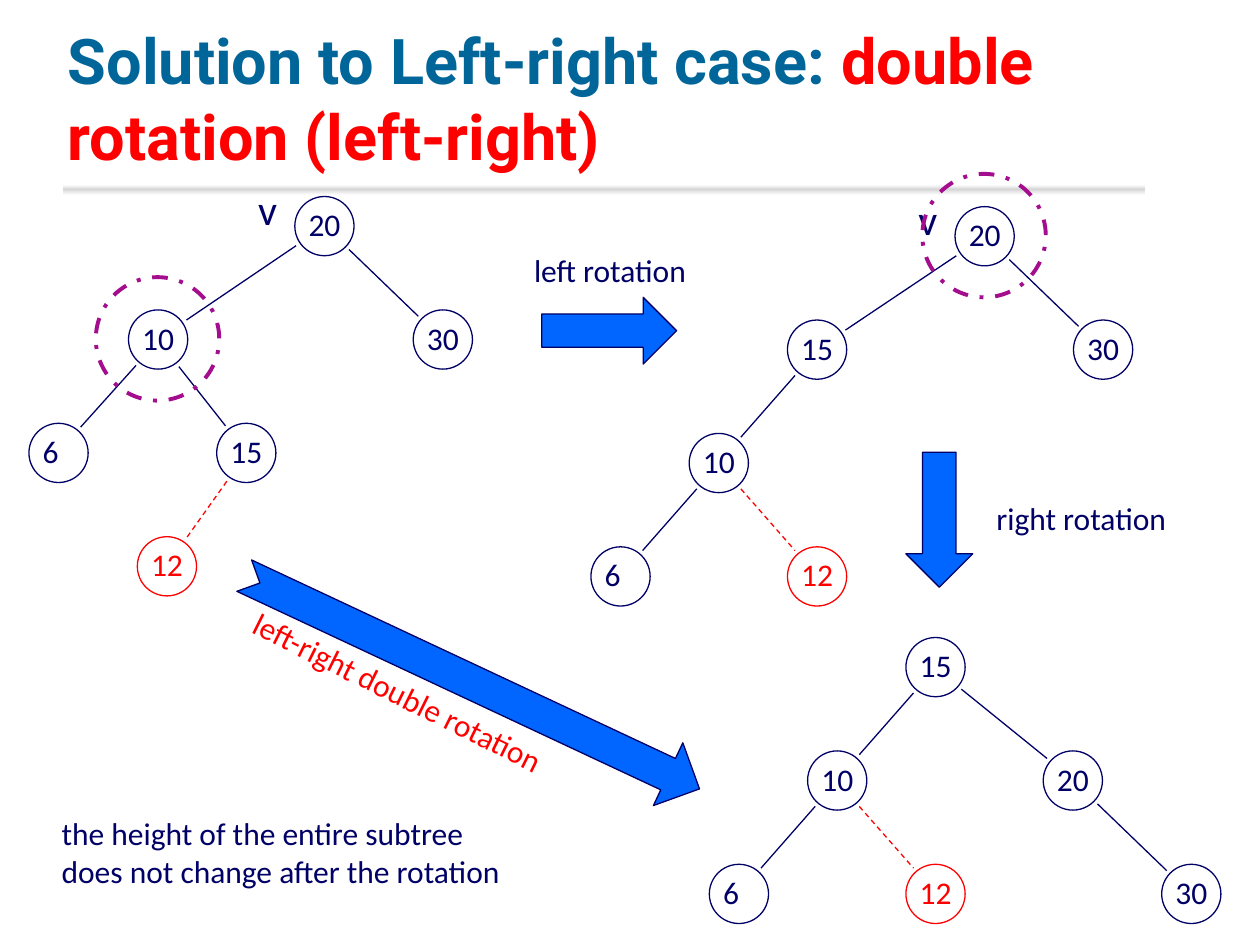
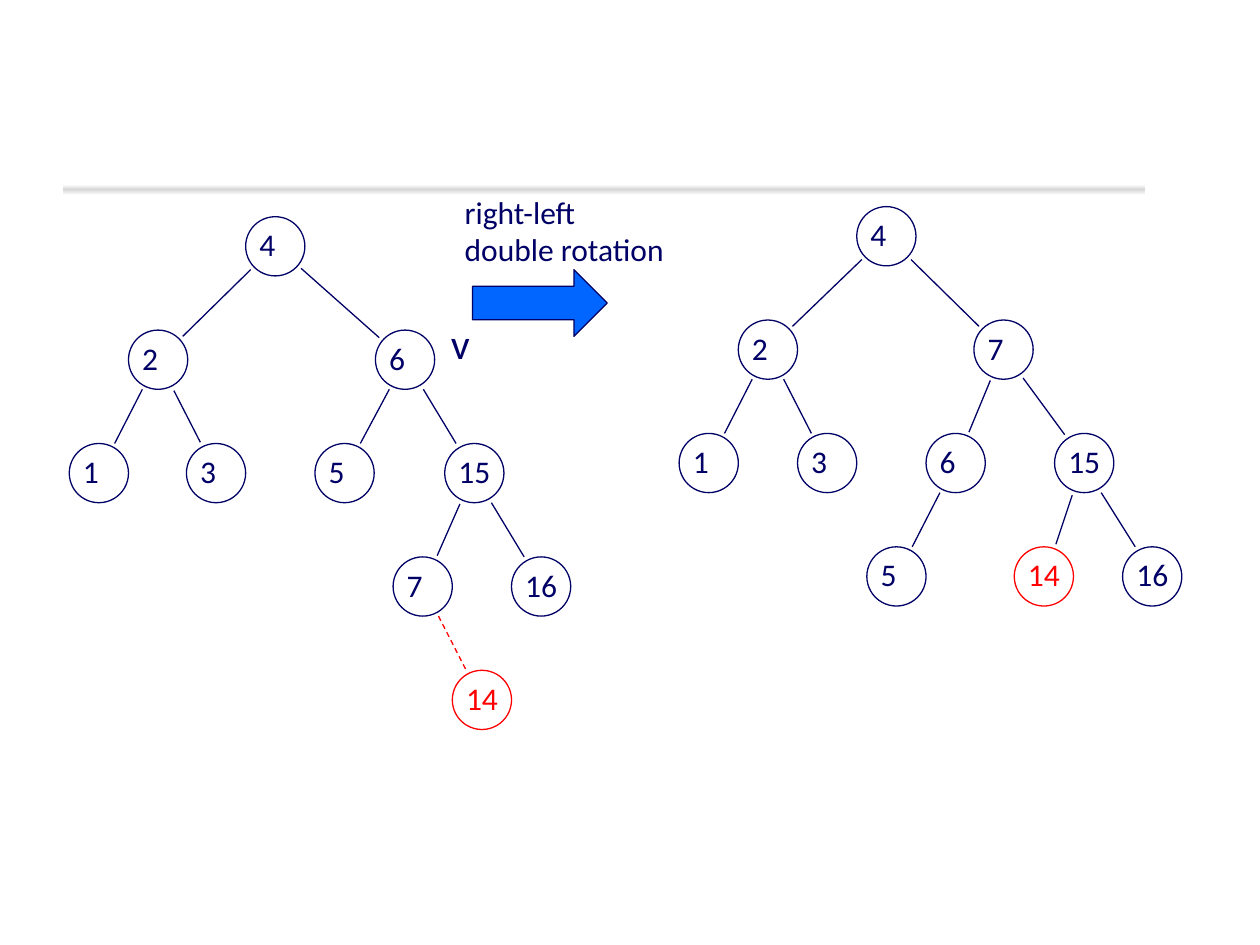
from math import hypot

from lxml import etree
from pptx import Presentation
from pptx.dml.color import RGBColor
from pptx.enum.dml import MSO_LINE_DASH_STYLE as DASH
from pptx.enum.shapes import MSO_CONNECTOR, MSO_SHAPE as SHAPE
from pptx.enum.text import MSO_ANCHOR, MSO_AUTO_SIZE as AUTO_SIZE
from pptx.oxml import parse_xml
from pptx.oxml.ns import nsdecls, qn
from pptx.util import Pt

PX = 9144  # 100 px to the inch
COLORS = {
    "title": "006699", "navy": "000066", "red": "FF0000",
    "arrow": "0066FF", "focus": "A30D8E", "white": "FFFFFF", "band": "D6D6D6",
}
RGB = {name: RGBColor.from_string(value) for name, value in COLORS.items()}
NODE, RING, LEVEL_DROP = 47, 98, 90
EDGE_TRIM = 27  # from a node's centre to the end of its edge
LONG, SHORT = 107, 53  # sides of a block arrow


def add_outlined(shapes, kind, box, color, width=0.75, dash=None, fill=None, rotation=0):
    """Add a preset shape, or a connector from (x1, y1) to (x2, y2) if kind is None."""
    box = [round(value) * PX for value in box]
    if kind is None:
        shape = shapes.add_connector(MSO_CONNECTOR.STRAIGHT, *box)
        etree.SubElement(shape._element.spPr, qn("a:effectLst"))
    else:
        shape = shapes.add_shape(kind, *box)
        shape.shadow.inherit = False
        shape.rotation = rotation
        if fill:
            shape.fill.solid()
            shape.fill.fore_color.rgb = RGB[fill]
        else:
            shape.fill.background()
    shape.line.color.rgb = RGB[color]
    for name, value in {"width": Pt(width), "dash_style": dash}.items():
        setattr(shape.line, name, value)


def add_text(shapes, box, paragraphs, size=18, font="Calibri", bold=False, rotation=0, **frame_format):
    """Add a text box; each paragraph is a list of (text, colour) runs."""
    shape = shapes.add_textbox(*[value * PX for value in box])
    shape.rotation = rotation
    frame = shape.text_frame
    frame_format = {"word_wrap": False, "auto_size": AUTO_SIZE.SHAPE_TO_FIT_TEXT} | frame_format
    for name, value in frame_format.items():
        setattr(frame, name, value)
    for index, runs in enumerate(paragraphs):
        paragraph = frame.paragraphs[0] if index == 0 else frame.add_paragraph()
        for text, color in runs:
            run = paragraph.add_run()
            run.text = text
            for name, value in {"size": Pt(size), "name": font, "bold": bold}.items():
                setattr(run.font, name, value)
            run.font.color.rgb = RGB[color]


# Each level of a tree maps a label to (left, parent label).
# "pivot" is the node marked v, "mark" the left offset of that v.
slides = [
    {
        "title": [("Solution to Left-right case: ", "title"),
                  ("double rotation (left-right)", "red")],
        "inserted": "12",
        "trees": [
            {"top": 156, "pivot": "20", "mark": -39, "ring": "10", "dashed": True, "levels": [
                {"20": (234, None)},
                {"10": (102, "20"), "30": (328, "20")},
                {"6": (23, "10"), "15": (172, "10")},
                {"12": (109, "15")}]},
            {"top": 164, "pivot": "20", "mark": -39, "ring": "20", "dashed": True, "levels": [
                {"20": (758, None)},
                {"15": (625, "20"), "30": (852, "20")},
                {"10": (547, "15")},
                {"6": (469, "10"), "12": (625, "10")}]},
            {"top": 506, "pivot": None, "ring": None, "dashed": True, "levels": [
                {"15": (719, None)},
                {"10": (641, "15"), "20": (828, "15")},
                {"6": (563, "10"), "12": (719, "10"), "30": (922, "20")}]},
        ],
        "arrows": [(SHAPE.RIGHT_ARROW, (430, 236, LONG, SHORT), 0),
                   (SHAPE.DOWN_ARROW, (719, 359, SHORT, LONG), 0),
                   (SHAPE.NOTCHED_RIGHT_ARROW, (175, 514, 399, 55), 25.1)],
        "captions": [
            (["left rotation"], (414, 194, 142), "navy", 0),
            (["right rotation"], (781, 391, 157), "navy", 0),
            (["left-right double rotation"], (180, 530, 275), "red", 26.4),
            (["the height of the entire subtree", "does not change after the rotation"],
             (39, 641, 372), "navy", 0),
        ],
    },
    {
        "title": None,
        "inserted": "14",
        "trees": [
            {"top": 172, "pivot": "6", "mark": 50, "ring": None, "dashed": True, "levels": [
                {"4": (195, None)},
                {"2": (102, "4"), "6": (298, "4")},
                {"1": (55, "2"), "3": (148, "2"), "5": (250, "6"), "15": (353, "6")},
                {"7": (312, "15"), "16": (406, "15")},
                {"14": (359, "7")}]},
            {"top": 164, "pivot": None, "ring": None, "dashed": False, "levels": [
                {"4": (680, None)},
                {"2": (586, "4"), "7": (773, "4")},
                {"1": (539, "2"), "3": (633, "2"), "6": (735, "7"), "15": (837, "7")},
                {"5": (688, "6"), "14": (805, "15"), "16": (891, "15")}]},
        ],
        "arrows": [(SHAPE.RIGHT_ARROW, (375, 214, LONG, SHORT), 0)],
        "captions": [(["right-left", "double rotation"], (359, 148, 180), "navy", 0)],
    },
]

presentation = Presentation()
presentation.slide_width, presentation.slide_height = 1000 * PX, 750 * PX

for content in slides:
    slide = presentation.slides.add_slide(presentation.slide_layouts[6])
    shapes = slide.shapes

    # Soft grey rule below the title
    band = shapes.add_shape(SHAPE.RECTANGLE, *[value * PX for value in (50, 141, 859, 14)])
    band.shadow.inherit = False
    band.line.fill.background()
    band.fill.gradient()
    band.fill.gradient_angle = 270
    stops = band._element.spPr.find(qn("a:gradFill")).find(qn("a:gsLst"))
    for stop in list(stops):
        stops.remove(stop)
    for percent, color in [(0, "white"), (40, "white"), (67, "band"), (100, "white")]:
        stops.append(parse_xml(
            f'<a:gs {nsdecls("a")} pos="{percent * 1000}"><a:srgbClr val="{COLORS[color]}"/></a:gs>'))

    if content["title"]:
        add_text(shapes, (44, 17, 850, 125), [content["title"]], size=36, font="Roboto", bold=True,
                 word_wrap=True, auto_size=AUTO_SIZE.NONE, vertical_anchor=MSO_ANCHOR.BOTTOM)

    for tree in content["trees"]:
        corners = {}
        for depth, level in enumerate(tree["levels"]):
            for label, (left, parent) in level.items():
                top = tree["top"] + depth * LEVEL_DROP
                corners[label] = left, top
                inserted = label == content["inserted"]
                color = "red" if inserted else "navy"
                node = shapes.add_group_shape()
                add_outlined(node.shapes, SHAPE.OVAL, (left, top, NODE, NODE), color)
                label_width = 33 if len(label) == 1 else 45
                add_text(node.shapes, (left + 1, top + 2, label_width, 40), [[(label, color)]])
                if parent:
                    x1, y1 = [value + NODE / 2 for value in corners[parent]]
                    x2, y2 = [value + NODE / 2 for value in corners[label]]
                    trim = EDGE_TRIM / hypot(x2 - x1, y2 - y1)
                    dx, dy = (x2 - x1) * trim, (y2 - y1) * trim
                    edge = (x1 + dx, y1 + dy, x2 - dx, y2 - dy)
                    dashed = inserted and tree["dashed"]
                    add_outlined(shapes, None, edge, "red" if dashed else "navy",
                                 dash=DASH.DASH if dashed else None)
        if tree["pivot"]:
            left, top = corners[tree["pivot"]]
            add_text(shapes, (left + tree["mark"], top - 15, 35, 50), [[("v", "navy")]], size=24)
        if tree["ring"]:
            left, top = [value + (NODE - RING) // 2 for value in corners[tree["ring"]]]
            add_outlined(shapes, SHAPE.OVAL, (left, top, RING, RING), "focus", 2.25,
                         DASH.DASH_DOT, rotation=45)

    for kind, box, rotation in content["arrows"]:
        add_outlined(shapes, kind, box, "navy", fill="arrow", rotation=rotation)
    for lines, place, color, rotation in content["captions"]:
        add_text(shapes, (*place, 9 + 31 * len(lines)), [[(line, color)] for line in lines],
                 rotation=rotation)

presentation.save("out.pptx")
